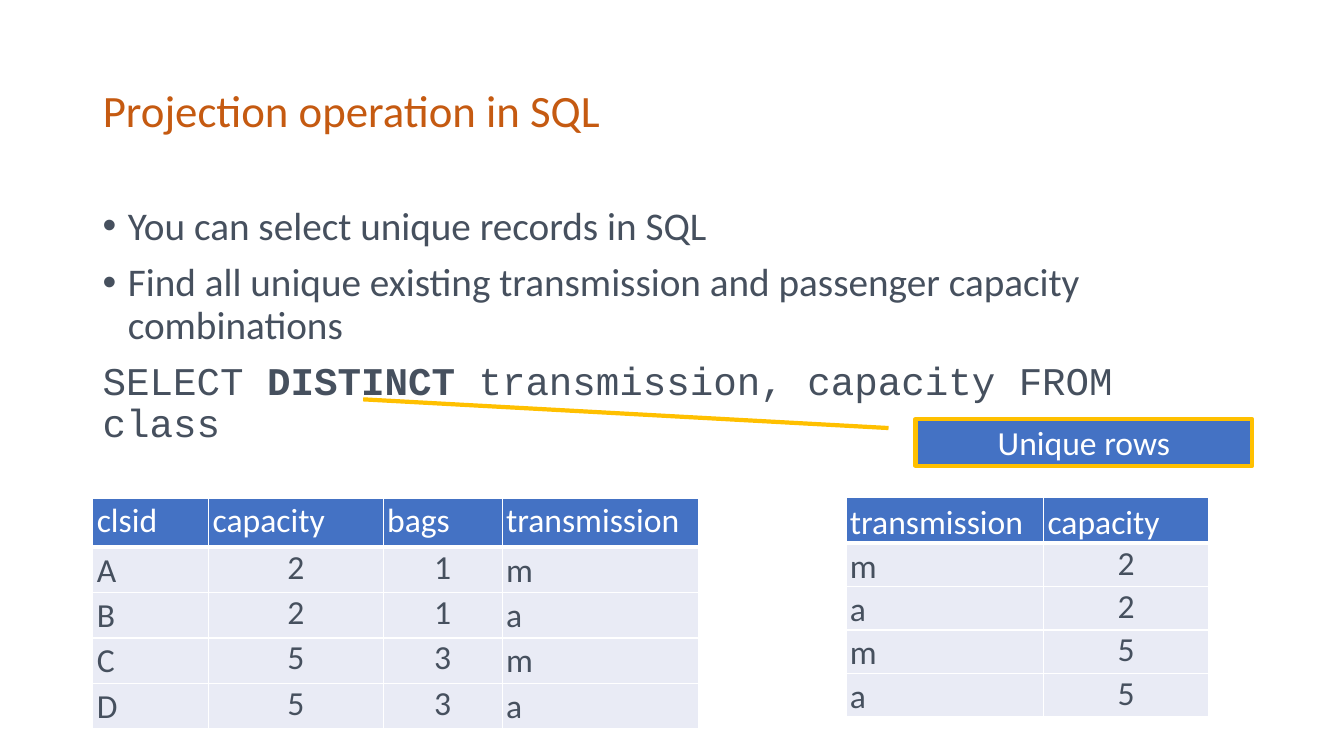
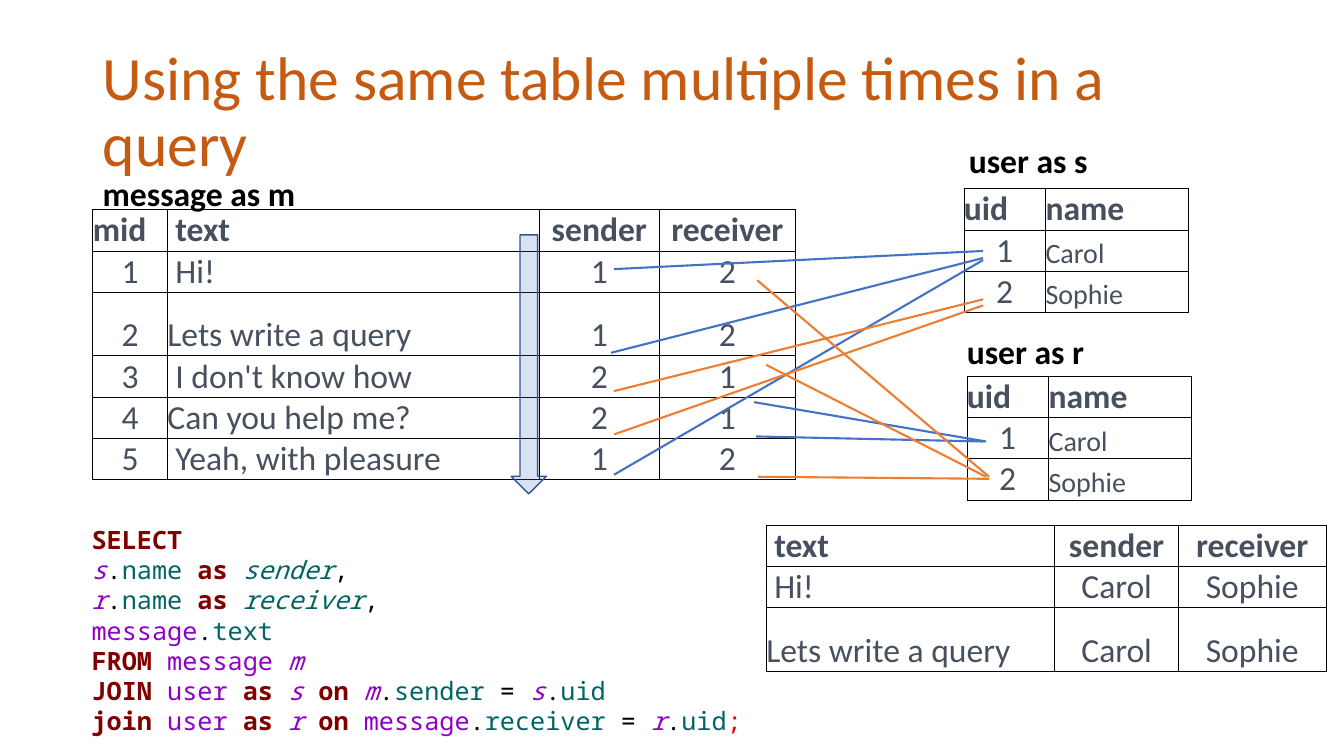
from lxml import etree
from pptx import Presentation
from pptx.dml.color import RGBColor
from pptx.enum import shapes, text
from pptx.oxml.ns import qn
from pptx.util import Inches, Pt

COLORS = {
    "title": "C55A11", "text": "46505E", "white": "FFFFFF", "black": "000000",
    "blue": "4472C4", "pale": "E9EBF5", "gold": "FFC000", "orange": "ED7D31",
    "arrow": "325491", "keyword": "800000", "name": "8E00C6",
    "column": "006464", "end": "FF0000",
}
RGB = {name: RGBColor.from_string(value) for name, value in COLORS.items()}
BODY_FONT = "Calibri"
LEFT = 0.92

BANDED = {
    "border": "white", "width": 1, "header_bottom": 3, "header_fill": "blue",
    "body_fill": "pale", "header_text": "white", "header_bold": False,
    "margin": 0.04, "left_spacing": 1.07, "anchor": text.MSO_ANCHOR.TOP,
}
RULED = {
    "border": "black", "width": 0.5, "header_bottom": 0.5, "header_fill": None,
    "body_fill": None, "header_text": "text", "header_bold": True,
    "margin": 0, "left_spacing": 1.0, "anchor": text.MSO_ANCHOR.BOTTOM,
}
ALIGN = {"l": text.PP_ALIGN.LEFT, "c": text.PP_ALIGN.CENTER}

presentation = Presentation()
presentation.slide_width = Inches(13.33)
presentation.slide_height = Inches(7.5)


def add_titled_slide(title_text, size):
    slide = presentation.slides.add_slide(presentation.slide_layouts[5])
    title = slide.shapes.title
    title.left, title.top = Inches(LEFT), Inches(0.4)
    title.width, title.height = Inches(11.5), Inches(1.45)
    frame = title.text_frame
    frame.text = title_text
    frame.auto_size = text.MSO_AUTO_SIZE.NONE
    frame.vertical_anchor = text.MSO_ANCHOR.MIDDLE
    paragraph = frame.paragraphs[0]
    paragraph.alignment = text.PP_ALIGN.LEFT
    paragraph.line_spacing = 0.9
    paragraph.font.name = BODY_FONT
    paragraph.font.size = Pt(size)
    paragraph.font.color.rgb = RGB["title"]
    return slide


def add_grid(slide, left, top, widths, heights, rows, aligns, style):
    """Add a table; aligns holds one letter per column for header and body."""
    table = slide.shapes.add_table(
        len(rows), len(widths), Inches(left), Inches(top),
        Inches(sum(widths)), Inches(sum(heights))).table
    table.first_row = table.horz_banding = False
    for column, width in zip(table.columns, widths):
        column.width = Inches(width)
    for row, height in zip(table.rows, heights):
        row.height = Inches(height)
    for r, row in enumerate(rows):
        part = "header" if r == 0 else "body"
        for c, value in enumerate(row):
            cell = table.cell(r, c)
            cell.text = value
            cell.vertical_anchor = style["anchor"]
            cell.margin_left = cell.margin_right = Inches(style["margin"])
            cell.margin_top = cell.margin_bottom = 0
            align = aligns[0 if r == 0 else 1][c]
            paragraph = cell.text_frame.paragraphs[0]
            paragraph.alignment = ALIGN[align]
            paragraph.line_spacing = style["left_spacing"] if align == "l" else 1.0
            font = paragraph.runs[0].font
            font.name, font.size = BODY_FONT, Pt(24)
            font.bold = r == 0 and style["header_bold"]
            font.color.rgb = RGB[style["header_text"] if r == 0 else "text"]
            properties = cell._tc.get_or_add_tcPr()
            for side in "LRTB":
                thick = (r, side) in ((0, "B"), (1, "T"))
                width = style["header_bottom" if thick else "width"]
                line = etree.SubElement(properties, qn(f"a:ln{side}"), w=str(Pt(width)))
                solid = etree.SubElement(line, qn("a:solidFill"))
                etree.SubElement(solid, qn("a:srgbClr"), val=COLORS[style["border"]])
            fill = style[f"{part}_fill"]
            if fill:
                cell.fill.solid()
                cell.fill.fore_color.rgb = RGB[fill]
            else:
                cell.fill.background()
    return table


# Projection
slide = add_titled_slide("Projection operation in SQL", 32)
body = slide.shapes.add_textbox(Inches(LEFT), Inches(2), Inches(11.5), Inches(2.79))
frame = body.text_frame
frame.word_wrap = True
body_lines = [
    ["You can select unique records in SQL"],
    ["Find all unique existing transmission and passenger capacity combinations"],
    ["SELECT ", "DISTINCT", " transmission, capacity FROM class"],
]
for i, pieces in enumerate(body_lines):
    paragraph = frame.paragraphs[0] if i == 0 else frame.add_paragraph()
    paragraph.line_spacing = 0.9
    if i:
        paragraph.space_before = Pt(10)
    is_code = len(pieces) > 1
    if not is_code:
        properties = paragraph._p.get_or_add_pPr()
        properties.set("marL", str(Inches(0.25)))
        properties.set("indent", str(-Inches(0.25)))
        etree.SubElement(properties, qn("a:buFont"), typeface="Arial")
        etree.SubElement(properties, qn("a:buChar"), char="•")
    for piece in pieces:
        run = paragraph.add_run()
        run.text = piece
        run.font.name = "Courier New" if is_code else BODY_FONT
        run.font.size = Pt(28)
        run.font.bold = piece == "DISTINCT"
        run.font.color.rgb = RGB["text"]

callout = slide.shapes.add_shape(
    shapes.MSO_SHAPE.LINE_CALLOUT_1, Inches(9.08), Inches(4.16), Inches(3.34), Inches(0.46))
for i, value in enumerate((0.19, -0.08, -0.43, -1.64)):
    callout.adjustments[i] = value
callout.shadow.inherit = False
callout.fill.solid()
callout.fill.fore_color.rgb = RGB["blue"]
callout.line.color.rgb = RGB["gold"]
callout.line.width = Pt(3)
callout.text_frame.text = "Unique rows"
callout.text_frame.vertical_anchor = text.MSO_ANCHOR.MIDDLE
paragraph = callout.text_frame.paragraphs[0]
paragraph.alignment = text.PP_ALIGN.CENTER
font = paragraph.runs[0].font
font.name, font.size, font.color.rgb = BODY_FONT, Pt(24), RGB["white"]

add_grid(slide, LEFT, 4.94, [1.15, 1.73, 1.18, 1.95], [0.49] + [0.45] * 4, [
    ["clsid", "capacity", "bags", "transmission"],
    ["A", "2", "1", "m"],
    ["B", "2", "1", "a"],
    ["C", "5", "3", "m"],
    ["D", "5", "3", "a"],
], ("llll", "lccl"), BANDED)
unique_table = add_grid(slide, 8.39, 4.93, [1.96, 1.64], [0.46] + [0.43] * 4, [
    ["transmission", "capacity"],
    ["m", "2"],
    ["a", "2"],
    ["m", "5"],
    ["a", "5"],
], ("ll", "lc"), BANDED)
for cell in unique_table.rows[0].cells:
    cell.vertical_anchor = text.MSO_ANCHOR.BOTTOM
    cell.text_frame.paragraphs[0].line_spacing = Pt(15.8)

# Self join
slide = add_titled_slide("Using the same table multiple times in a query", 44)
message_table = add_grid(
    slide, LEFT, 2.08, [0.74, 3.69, 1.19, 1.35], [0.41, 0.41, 0.63, 0.41, 0.41, 0.41], [
        ["mid", "text", "sender", "receiver"],
        ["1", "Hi!", "1", "2"],
        ["2", "Lets write a query", "1", "2"],
        ["3", "I don't know how", "2", "1"],
        ["4", "Can you help me?", "2", "1"],
        ["5", "Yeah, with pleasure", "1", "2"],
    ], ("llcc", "clcc"), RULED)
result_table = add_grid(slide, 7.6, 5.21, [2.86, 1.23, 1.46], [0.41, 0.41, 0.63], [
    ["text", "sender", "receiver"],
    ["Hi!", "Carol", "Sophie"],
    ["Lets write a query", "Carol", "Sophie"],
], ("lcc", "lcc"), RULED)
for table, column, indented_rows in ((message_table, 1, (0, 1, 3, 5)), (result_table, 0, (0, 1))):
    for r in indented_rows:
        table.cell(r, column).margin_left = Inches(0.08)

for left, top in ((9.56, 1.87), (9.59, 3.73)):
    user_table = add_grid(slide, left, top, [0.81, 1.42], [0.41] * 3, [
        ["uid", "name"], ["1", "Carol"], ["2", "Sophie"],
    ], ("ll", "cl"), RULED)
    for r in (1, 2):
        user_table.cell(r, 1).text_frame.paragraphs[0].runs[0].font.size = Pt(20)

for label, left, top, width in (
        ("message as m", LEFT, 1.67, 2.13),
        ("user as s", 9.51, 1.34, 1.39),
        ("user as r", 9.49, 3.23, 1.38)):
    box = slide.shapes.add_textbox(Inches(left), Inches(top), Inches(width), Inches(0.5))
    box.text_frame.word_wrap = False
    box.text_frame.text = label
    font = box.text_frame.paragraphs[0].runs[0].font
    font.name, font.size, font.bold = BODY_FONT, Pt(24), True
    font.color.rgb = RGB["black"]

# Token kind: colour, bold, italic
TOKENS = {
    "k": ("keyword", True, False), "n": ("name", False, False),
    "a": ("name", False, True), "c": ("column", False, False),
    "o": ("column", False, True), "p": ("black", False, False),
    "e": ("end", False, False),
}
query = [
    [("k", "SELECT")],
    [("a", "s"), ("p", "."), ("c", "name "), ("k", "as "), ("o", "sender"), ("p", ",")],
    [("a", "r"), ("p", "."), ("c", "name "), ("k", "as "), ("o", "receiver"), ("p", ",")],
    [("n", "message"), ("p", "."), ("c", "text")],
    [("k", "FROM "), ("n", "message "), ("a", "m")],
    [("k", "JOIN "), ("n", "user "), ("k", "as "), ("a", "s "), ("k", "on "), ("a", "m"),
     ("p", "."), ("c", "sender"), ("p", " = "), ("a", "s"), ("p", "."), ("c", "uid")],
    [("k", "join "), ("n", "user "), ("k", "as "), ("a", "r "), ("k", "on "), ("n", "message"),
     ("p", "."), ("c", "receiver"), ("p", " = "), ("a", "r"), ("p", "."), ("c", "uid"),
     ("e", ";")],
]
code = slide.shapes.add_textbox(Inches(0.81), Inches(5.15), Inches(6.67), Inches(2.22))
code.text_frame.word_wrap = True
for i, tokens in enumerate(query):
    paragraph = code.text_frame.paragraphs[0] if i == 0 else code.text_frame.add_paragraph()
    for kind, token in tokens:
        run = paragraph.add_run()
        run.text = token
        color, run.font.bold, run.font.italic = TOKENS[kind]
        run.font.name, run.font.size = "Noto Sans Mono", Pt(18)
        run.font.color.rgb = RGB[color]

arrow = slide.shapes.add_shape(
    shapes.MSO_SHAPE.DOWN_ARROW, Inches(5.07), Inches(2.33), Inches(0.35), Inches(2.57))
arrow.shadow.inherit = False
arrow.fill.solid()
arrow.fill.fore_color.rgb = RGB["blue"]
fill_color = arrow._element.spPr.find(qn("a:solidFill")).find(qn("a:srgbClr"))
etree.SubElement(fill_color, qn("a:alpha"), val="20000")
arrow.line.color.rgb = RGB["arrow"]
arrow.line.width = Pt(1)

# Blue lines lead to Carol, orange lines to Sophie
for color, x1, y1, x2, y2 in (
        ("blue", 6.09, 2.67, 9.75, 2.49),
        ("blue", 6.06, 3.5, 9.75, 2.56),
        ("blue", 6.09, 4.71, 9.75, 2.58),
        ("orange", 6.09, 3.88, 9.75, 2.97),
        ("orange", 6.09, 4.31, 9.75, 3.03),
        ("blue", 7.48, 3.99, 9.78, 4.38),
        ("blue", 7.5, 4.33, 9.75, 4.38),
        ("orange", 7.51, 2.78, 9.81, 4.73),
        ("orange", 7.6, 3.62, 9.78, 4.73),
        ("orange", 7.52, 4.73, 9.81, 4.75)):
    link = slide.shapes.add_connector(
        shapes.MSO_CONNECTOR.STRAIGHT, Inches(x1), Inches(y1), Inches(x2), Inches(y2))
    link.line.color.rgb = RGB[color]
    link.line.width = Pt(1.5)
    etree.SubElement(link._element.spPr, qn("a:effectLst"))

presentation.save("out.pptx")
